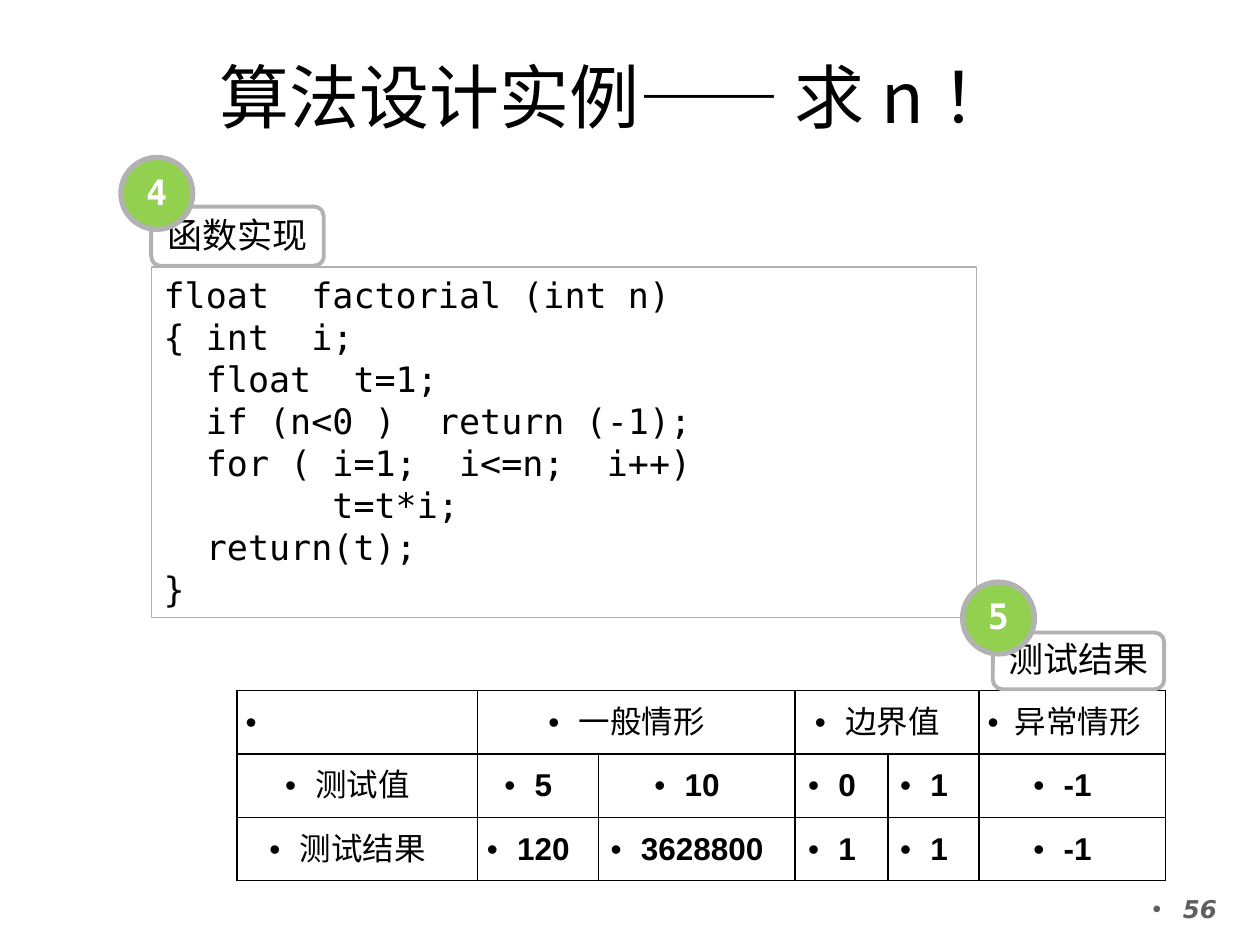
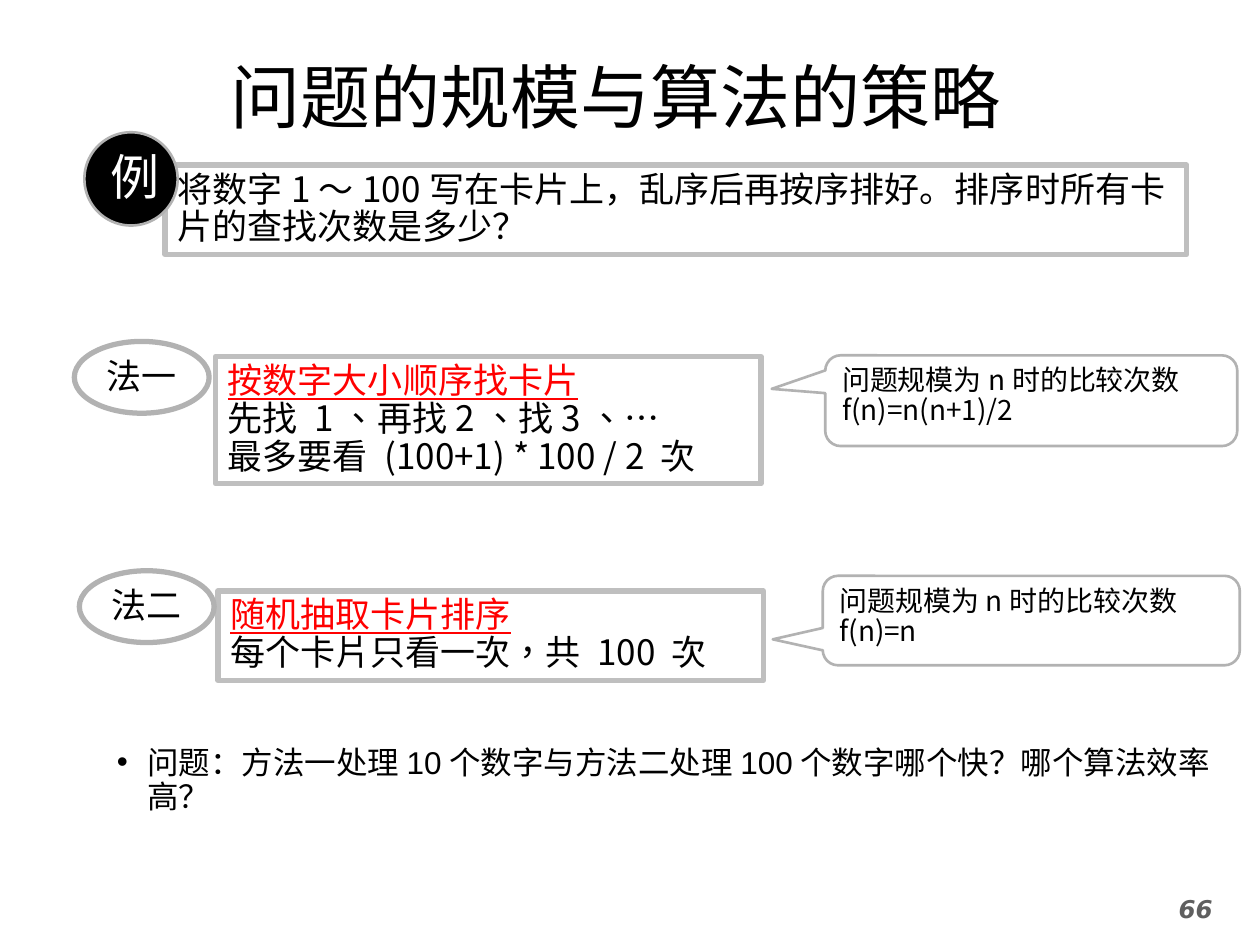
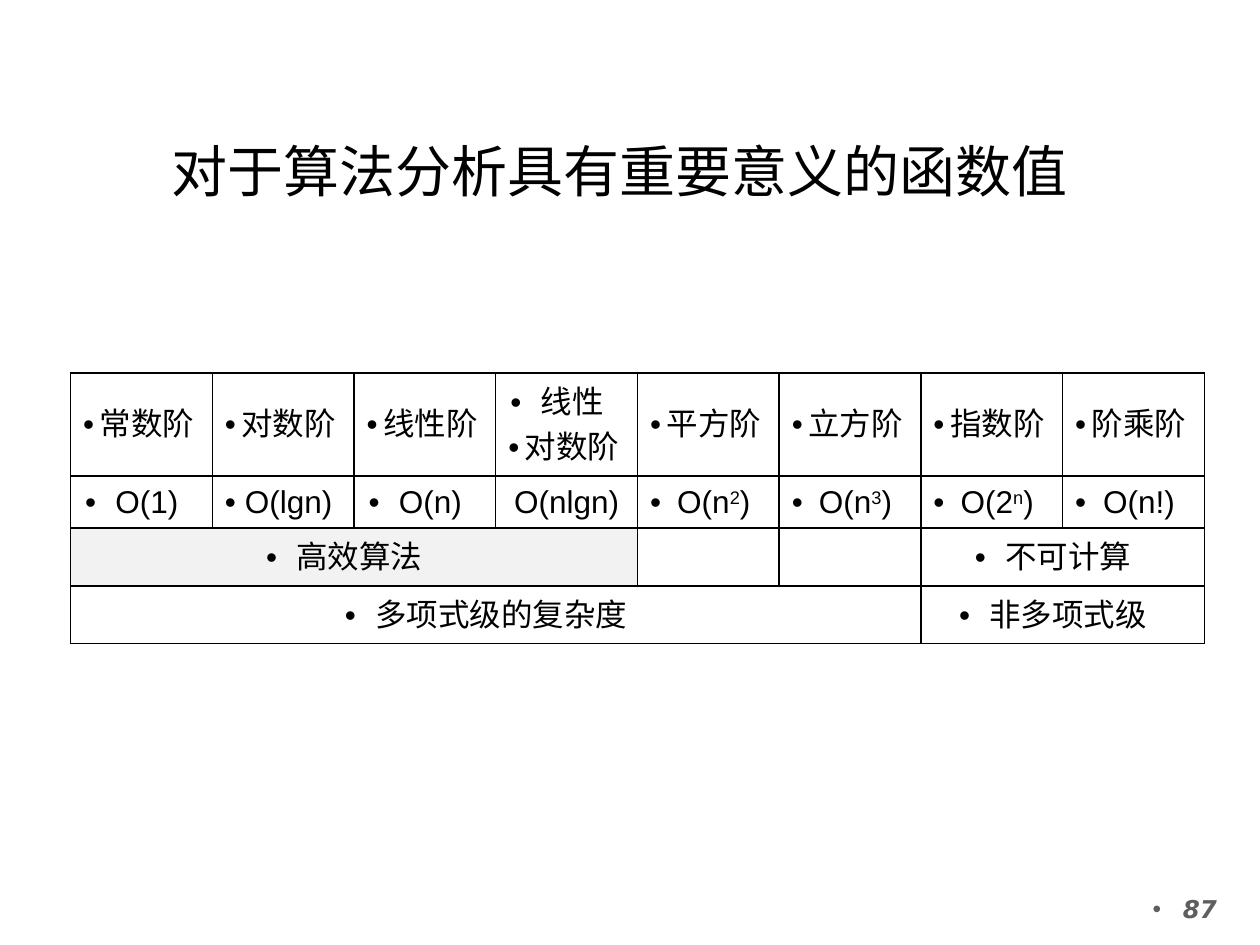
"""Build three slides on algorithm design, strategy and complexity."""
from lxml.etree import SubElement
from pptx import Presentation
from pptx.dml.color import RGBColor
from pptx.enum.shapes import MSO_SHAPE
from pptx.enum.text import MSO_ANCHOR, PP_ALIGN
from pptx.oxml import parse_xml
from pptx.oxml.ns import nsdecls, qn
from pptx.util import Inches, Pt


class Theme:
    black, white, red = "000000", "FFFFFF", "FF0000"
    green, grey, frame = "92D050", "B2B2B2", "BFBFBF"
    number, shade = "5F5F5F", "F2F2F2"
    head, sans, cjk = "Noto Sans CJK JP", "Arial", "Noto Sans CJK SC"
    mono, dejavu = "DejaVu Sans Mono", "DejaVu Sans"
    title, subtitle, sign, body, small, note, page = 40, 32, 28, 20, 18, 16, 14
    tight, cell, code, hang = 1.08, 1.15, 1.2, 0.24


T = Theme
CENTER = PP_ALIGN.CENTER
MIDDLE = MSO_ANCHOR.MIDDLE


def write(tf, paras, size=T.body, name=T.cjk, color=T.black, align=None,
          pitch=T.tight, bullet=False, gap=0, **look):
    for i, runs in enumerate(paras):
        p = tf.paragraphs[0] if i == 0 else tf.add_paragraph()
        p.alignment = align
        if pitch:
            p.line_spacing = Pt(round(size * pitch, 1))
        if i and gap:
            p.space_before = Pt(gap)
        if bullet:
            pPr = p._p.get_or_add_pPr()
            pPr.set("marL", str(0 if align == CENTER else Inches(T.hang)))
            pPr.set("indent", str(-Inches(T.hang)))
            SubElement(pPr, qn("a:buFont")).set("typeface", T.sans)
            SubElement(pPr, qn("a:buChar")).set("char", "•")
        for run in [runs] if isinstance(runs, str) else runs:
            text, change = (run, {}) if isinstance(run, str) else run
            fmt = {"size": Pt(size), "name": name, "color": color, **look, **change}
            tint, east = fmt.pop("color"), fmt.pop("east", fmt["name"])
            extra = {k: fmt.pop(k) for k in ("baseline", "lang") if k in fmt}
            r = p.add_run()
            r.text = text
            for key, value in fmt.items():
                setattr(r.font, key, value)
            r.font.color.rgb = RGBColor.from_string(tint)
            rPr = r._r.get_or_add_rPr()
            SubElement(rPr, qn("a:ea")).set("typeface", east)
            for key, value in extra.items():
                rPr.set(key, value)


def box(s, at, paras, kind=None, fill=None, line=T.grey, width=3, adj=(),
        anchor=MSO_ANCHOR.TOP, wrap=True, **text):
    at = [Inches(v) for v in at]
    if kind is None:
        sp = s.shapes.add_textbox(*at)
    else:
        sp = s.shapes.add_shape(kind, *at)
        sp.shadow.inherit = False
        sp.line.color.rgb = RGBColor.from_string(line)
        sp.line.width = Pt(width)
        for i, value in enumerate(adj):
            sp.adjustments[i] = value
        if fill:
            sp.fill.solid()
            sp.fill.fore_color.rgb = RGBColor.from_string(fill)
        else:
            sp.fill.background()
    tf = sp.text_frame
    tf.word_wrap, tf.vertical_anchor = wrap, anchor
    write(tf, paras, **{"align": PP_ALIGN.LEFT, **text})


prs = Presentation()
prs.slide_width, prs.slide_height = Inches(10), Inches(7.5)

high = (1.3, 0.37, 7.17, 0.77)
low = (0.98, 0.76, 7.88, 1.18)
dash = ("——", {"name": T.sans, "east": T.cjk})
pages = [
    (["算法设计实例", dash, " 求n！"], high, T.title, "56", True),
    ("问题的规模与算法的策略", high, T.title, "66", False),
    ("对于算法分析具有重要意义的函数值", low, T.subtitle, "87", True),
]
for title, at, size, number, bullet in pages:
    s = prs.slides.add_slide(prs.slide_layouts[6])
    box(s, at, [title], size=size, name=T.head, align=CENTER, anchor=MIDDLE, pitch=0)
    box(s, (8.98, 7.07, 1.02, 0.43), [number], size=T.page, name=T.dejavu,
        color=T.number, align=CENTER, bullet=bullet, bold=True, italic=True)
factorial, strategy, orders = prs.slides

numeral = {"bold": True}
up = {"baseline": "30000"}
tables = [
    (factorial, (1.88, 5.48), [1.91, 0.96, 1.56, 0.74, 0.72, 1.48], [1.51 / 3] * 3,
     (0.07, 0), T.white,
     [["", "一般情形", None, "边界值", None, "异常情形"],
      ["测试值"] + [[(v, numeral)] for v in ("5", "10", "0", "1", "-1")],
      ["测试结果"] + [[(v, numeral)] for v in ("120", "3628800", "1", "1", "-1")]]),
    (orders, (0.56, 2.96), [1.125] * 8, [0.82, 0.41, 0.46, 0.46],
     (0.1, 0.05), None,
     [["常数阶", "对数阶", "线性阶", "线性\n对数阶", "平方阶", "立方阶", "指数阶", "阶乘阶"],
      ["O(1)", "O(lgn)", "O(n)", "O(nlgn)", ["O(n", ("2", up), ")"],
       ["O(n", ("3", up), ")"], ["O(2", ("n", up), ")"], "O(n!)"],
      ["高效算法", None, None, None, "", "", "不可计算", None],
      ["多项式级的复杂度", None, None, None, None, None, "非多项式级", None]]),
]
for s, (x, y), cols, rows, (side, edge), fill, cells in tables:
    tbl = s.shapes.add_table(len(rows), len(cols), Inches(x), Inches(y),
                             Inches(sum(cols)), Inches(sum(rows))).table
    tbl.first_row = tbl.horz_banding = False
    for col, width in zip(tbl.columns, cols):
        col.width = Inches(width)
    for row, height in zip(tbl.rows, rows):
        row.height = Inches(height)
    for i, values in enumerate(cells):
        for j, value in enumerate(values):
            cell = tbl.cell(i, j)
            cell.margin_left = cell.margin_right = Inches(side)
            cell.margin_top = cell.margin_bottom = Inches(edge)
            cell.vertical_anchor = MIDDLE
            shade = T.shade if value == "高效算法" else fill
            if shade:
                cell.fill.solid()
                cell.fill.fore_color.rgb = RGBColor.from_string(shade)
            else:
                cell.fill.background()
            for k, tag in enumerate(("lnL", "lnR", "lnT", "lnB")):
                cell._tc.get_or_add_tcPr().insert(k, parse_xml(
                    f'<a:{tag} {nsdecls("a")} w="{Pt(1)}"><a:solidFill>'
                    f'<a:srgbClr val="{T.black}"/></a:solidFill></a:{tag}>'))
            if value:
                paras = value.split("\n") if isinstance(value, str) else [value]
                write(cell.text_frame, paras, size=T.small, name=T.sans, align=CENTER,
                      pitch=T.cell, bullet=value != "O(nlgn)", gap=5)
            span = 1
            while value is not None and j + span < len(values) and values[j + span] is None:
                span += 1
            if span > 1:
                cell.merge(tbl.cell(i, j + span - 1))
write(factorial.shapes[2].table.cell(0, 0).text_frame, ["•"], size=T.small,
      name=T.sans, pitch=T.cell)

s = factorial
code = [
    "float  factorial (int n)",
    "{ int  i;",
    "  float  t=1;",
    "  if (n<0 )  return (-1);",
    "  for ( i=1;  i<=n;  i++)",
    "        t=t*i;",
    "  return(t);",
    "}",
]
box(s, (1.2, 2.12, 6.55, 2.78), code, MSO_SHAPE.RECTANGLE, width=0.75,
    name=T.mono, pitch=T.code)
steps = [
    ("4", "函数实现", (0.96, 1.25), (1.2, 1.64, 1.37, 0.47), None),
    ("5", "测试结果", (7.64, 4.62), (7.88, 5.02, 1.36, 0.45), T.white),
]
for number, label, badge, at, fill in steps:
    box(s, at, [label], MSO_SHAPE.ROUNDED_RECTANGLE, fill, width=2.25,
        anchor=MIDDLE, wrap=False, align=CENTER)
    box(s, (*badge, 0.57, 0.57), [number], MSO_SHAPE.OVAL, T.green, anchor=MIDDLE,
        name=T.mono, color=T.white, align=CENTER, bold=True)

s = strategy
box(s, (1.31, 1.31, 8.11, 0.71),
    ["将数字1～100写在卡片上，乱序后再按序排好。排序时所有卡片的查找次数是多少？"],
    MSO_SHAPE.RECTANGLE, line=T.frame)
box(s, (0.67, 1.05, 0.74, 0.74), ["例"], MSO_SHAPE.OVAL, T.black, width=1.5,
    size=T.sign, color=T.white)
methods = [
    ("法一", (0.59, 2.71), (1.71, 2.83, 4.33, 1.01), "按数字大小顺序找卡片",
     ["先找 1、再找2、找3、…", "最多要看 (100+1) * 100 / 2 次"],
     (6.55, 2.82, 3.27, 0.72), (-0.63, -0.13, 0.17),
     ["问题规模为n时的比较次数", "f(n)=n(n+1)/2"]),
    ("法二", (0.63, 4.53), (1.73, 4.69, 4.33, 0.71), "随机抽取卡片排序",
     ["每个卡片只看一次，共 100 次"],
     (6.53, 4.57, 3.31, 0.71), (-0.62, 0.21, 0.17),
     ["问题规模为n时的比较次数 f(n)=n"]),
]
for label, oval, at, lead, lines, callout, adj, cost in methods:
    box(s, at, [[(lead, {"color": T.red, "underline": True})],
                *[[(text, {"lang": "zh-TW"})] for text in lines]],
        MSO_SHAPE.RECTANGLE, line=T.frame)
    box(s, (*oval, 1.07, 0.57), [label], MSO_SHAPE.OVAL, T.white,
        anchor=MIDDLE, wrap=False, align=CENTER)
    box(s, callout, cost, MSO_SHAPE.ROUNDED_RECTANGULAR_CALLOUT, width=1.5,
        adj=adj, size=T.note)
box(s, (0.83, 5.88, 8.9, 0.37),
    ["问题：方法一处理10个数字与方法二处理100个数字哪个快？哪个算法效率高？"],
    size=T.small, name=T.sans, bullet=True)

prs.save("out.pptx")
